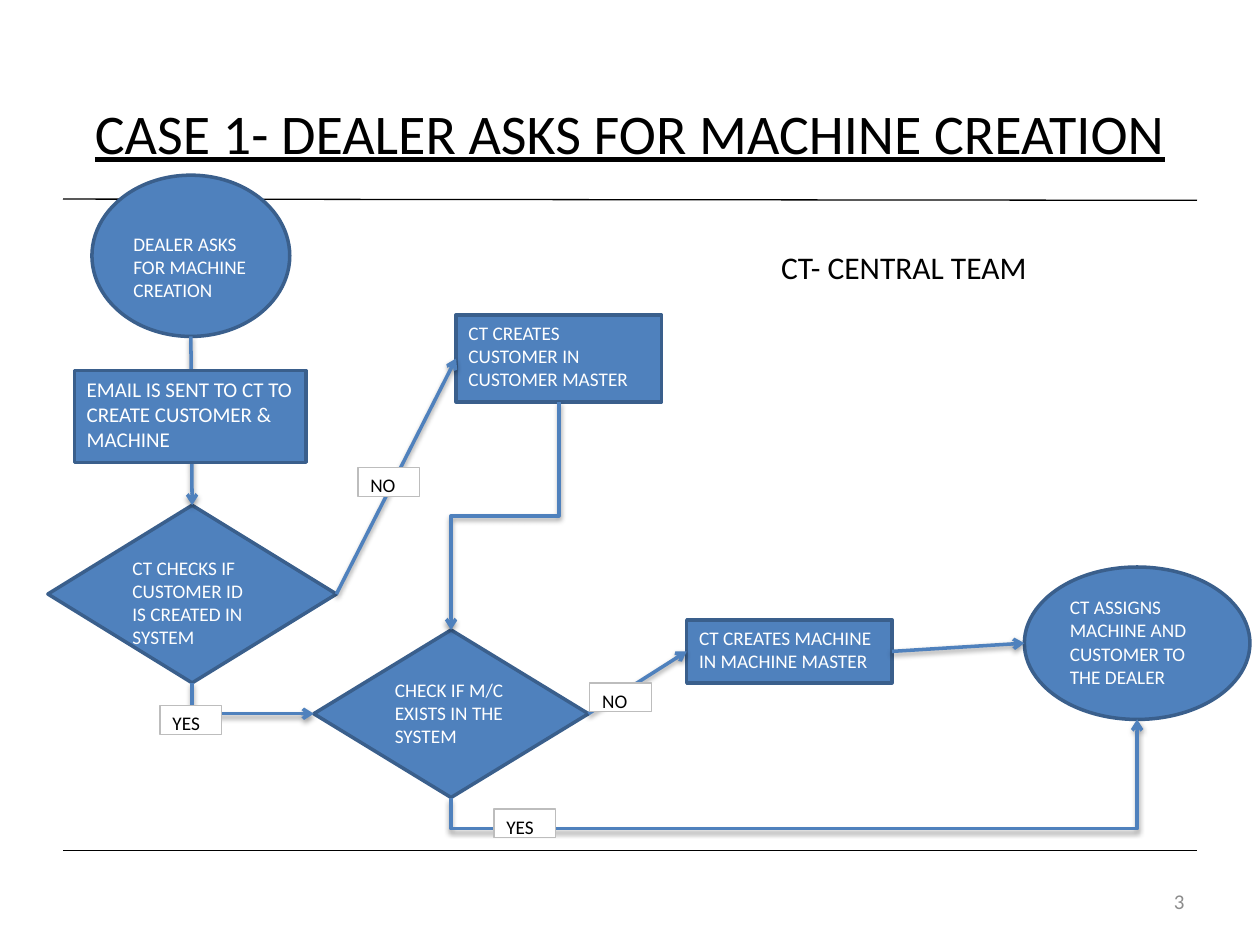
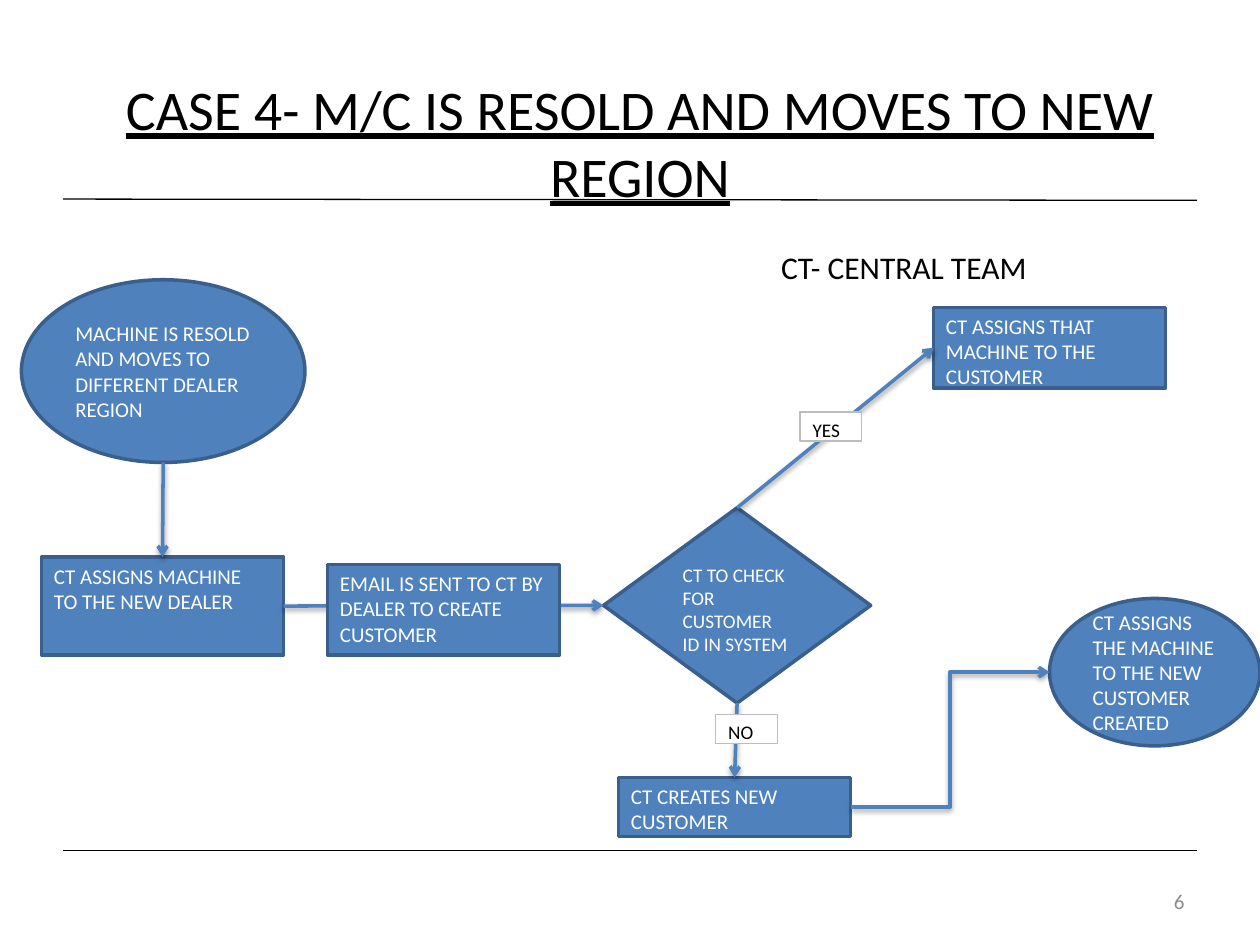
from dataclasses import dataclass
from enum import IntEnum
from typing import NamedTuple

from lxml.etree import SubElement as Sub
from pptx import Presentation
from pptx.dml.color import RGBColor as Rgb
from pptx.enum.shapes import MSO_CONNECTOR as Wire, MSO_SHAPE as Kind
from pptx.enum.text import MSO_ANCHOR as Anchor, PP_ALIGN as Align
from pptx.oxml.ns import qn
from pptx.util import Inches, Pt


@dataclass(frozen=True)
class Theme:
    """Colours, type sizes and line widths of the deck."""
    font: str = "Calibri"
    ink: str = "000000"
    paper: str = "FFFFFF"
    blue: str = "4F81BD"
    edge: str = "3A5F8C"
    frame: str = "BDBDBD"
    grey: str = "8C8C8C"
    head: int = 32
    note: int = 18
    body: int = 12
    small: int = 11
    bold: float = 2
    thin: float = 0.75


class Side(IntEnum):
    """Sides of a shape, numbered as connection sites."""
    TOP = 0
    LEFT = 1
    BASE = 2
    RIGHT = 3


class Box(NamedTuple):
    """Left, top, width and height in grid columns and rows."""
    x: float
    y: float
    w: float
    h: float


class Node(NamedTuple):
    """A step of the flow, with extra top and right insets in grid cells."""
    key: str
    kind: Kind
    box: Box
    text: str
    size: int
    mid: bool = False
    drop: float = 0
    trim: float = 0
    front: bool = False


class Link(NamedTuple):
    """An arrow between two steps; bend is the place of its middle leg."""
    start: str
    out: Side
    end: str
    into: Side
    form: str = "line"
    bend: float = 0.5


class Tag(NamedTuple):
    """An answer placed on an arrow."""
    text: str
    x: float
    y: float


class Case(NamedTuple):
    """One slide of the deck."""
    title: str
    spot: Box
    page: int
    nodes: list[Node]
    links: list[Link]
    tags: list[Tag]


LOOK = Theme()
COLS, ROWS = 100, 75
WIDE, HIGH = Inches(10), Inches(7.5)
OVAL, RECT, TEST = Kind.OVAL, Kind.RECTANGLE, Kind.FLOWCHART_DECISION
RULES = [(67.5, 67.5), (15.8, 15.9)]
TAG_W, TAG_H = 4.9, 2.3


def col(n: float) -> int:
    """Length of n grid columns."""
    return round(WIDE * n / COLS)


def row(n: float) -> int:
    """Length of n grid rows."""
    return round(HIGH * n / ROWS)


def place(box: Box) -> tuple[int, int, int, int]:
    """Turn grid units into slide lengths."""
    return col(box.x), row(box.y), col(box.w), row(box.h)


def write(shape, text: str, size: int, tint: str, align=Align.LEFT,
          anchor=Anchor.TOP, line: bool = False) -> None:
    """Fill a shape with one styled paragraph."""
    frame = shape.text_frame
    frame.word_wrap = True
    frame.vertical_anchor = anchor
    frame.text = text
    para = frame.paragraphs[0]
    para.alignment = align
    for run in para.runs:
        font = run.font
        font.name, font.size, font.underline = LOOK.font, Pt(size), line
        font.color.rgb = Rgb.from_string(tint)


def label(slide, box: Box, text: str, size: int, tint: str = LOOK.ink, **style) -> None:
    """Add a plain text box."""
    write(slide.shapes.add_textbox(*place(box)), text, size, tint, **style)


def block(slide, kind: Kind, box: Box, fill: str, edge: str, width: float):
    """Add a filled and outlined shape."""
    shape = slide.shapes.add_shape(kind, *place(box))
    shape.shadow.inherit = False
    shape.fill.solid()
    shape.fill.fore_color.rgb = Rgb.from_string(fill)
    shape.line.color.rgb = Rgb.from_string(edge)
    shape.line.width = Pt(width)
    return shape


def draw_node(slide, node: Node):
    """Draw one step of the flow."""
    shape = block(slide, node.kind, node.box, LOOK.blue, LOOK.edge, LOOK.bold)
    write(shape, node.text, node.size, LOOK.paper,
          anchor=Anchor.MIDDLE if node.mid else Anchor.TOP)
    frame = shape.text_frame
    frame.margin_top += row(node.drop)
    frame.margin_right += col(node.trim)
    return shape


def draw_tag(slide, tag: Tag) -> None:
    """Draw one answer."""
    box = Box(tag.x, tag.y, TAG_W, TAG_H)
    shape = block(slide, RECT, box, LOOK.paper, LOOK.frame, LOOK.thin)
    write(shape, tag.text, LOOK.small, LOOK.ink)


def stroke(wire, tint: str, width: float):
    """Style a connector and return its empty effect list."""
    wire.line.color.rgb = Rgb.from_string(tint)
    wire.line.width = Pt(width)
    return Sub(wire.element.spPr, qn("a:effectLst"))


def turn(wire) -> None:
    """Make an elbow leave its start along the vertical."""
    x, y, dx, dy = (wire.begin_x, wire.begin_y,
                    wire.end_x - wire.begin_x, wire.end_y - wire.begin_y)
    wire.width, wire.height = abs(dy), abs(dx)
    wire.left = x + (dx - abs(dy)) // 2
    wire.top = y + (dy - abs(dx)) // 2
    xfrm = wire.element.spPr.find(qn("a:xfrm"))
    xfrm.set("rot", "5400000")
    xfrm.set("flipH", str(int(dy < 0)))
    xfrm.set("flipV", str(int(dx > 0)))


def draw_link(slide, link: Link, made: dict) -> None:
    """Join two steps with an arrow."""
    form = Wire.STRAIGHT if link.form == "line" else Wire.ELBOW
    wire = slide.shapes.add_connector(form, 0, 0, 0, 0)
    first, last = made[link.start], made[link.end]
    wire.begin_connect(first, link.out)
    wire.end_connect(last, link.into)
    ends = wire.element.nvCxnSpPr.cNvCxnSpPr
    for shape, site in ((first, ends.stCxn), (last, ends.endCxn)):
        if shape.auto_shape_type == OVAL:
            site.idx *= 2
    if link.form != "line":
        if link.out in (Side.TOP, Side.BASE):
            turn(wire)
        geom = wire.element.spPr.find(qn("a:prstGeom"))
        if link.form == "corner":
            geom.set("prst", "bentConnector2")
        else:
            Sub(geom.find(qn("a:avLst")), qn("a:gd"), name="adj1",
                fmla=f"val {round(link.bend * 100000)}")
    glow = stroke(wire, LOOK.blue, LOOK.bold)
    Sub(wire.line._get_or_add_ln(), qn("a:tailEnd"), type="arrow")
    shade = Sub(glow, qn("a:outerShdw"), blurRad=str(Pt(3.1)), dist=str(Pt(1.6)),
                dir="5400000", rotWithShape="0")
    tint = Sub(shade, qn("a:srgbClr"), val=LOOK.ink)
    Sub(tint, qn("a:alpha"), val="38000")


def draw_case(deck, case: Case) -> None:
    """Build one slide."""
    slide = deck.slides.add_slide(deck.slide_layouts[6])
    for left, right in RULES:
        rule = slide.shapes.add_connector(
            Wire.STRAIGHT, col(5), row(left), col(95), row(right))
        stroke(rule, LOOK.ink, LOOK.thin)
    label(slide, case.spot, case.title, LOOK.head, align=Align.CENTER,
          anchor=Anchor.MIDDLE, line=True)
    label(slide, Box(61, 19.2, 23.2, 4), "CT- CENTRAL TEAM", LOOK.note)
    label(slide, Box(71.7, 69.5, 23.3, 4), str(case.page), LOOK.body, LOOK.grey,
          align=Align.RIGHT, anchor=Anchor.MIDDLE)
    made = {n.key: draw_node(slide, n) for n in case.nodes if not n.front}
    for link in case.links:
        draw_link(slide, link, made)
    for tag in case.tags:
        draw_tag(slide, tag)
    for node in case.nodes:
        if node.front:
            draw_node(slide, node)


CASES = [
    Case(
        "CASE 1- DEALER ASKS FOR MACHINE CREATION", Box(5, 4.2, 90, 12.5), 3,
        [
            Node("ask", OVAL, Box(7.3, 13.9, 15.7, 12.8),
                 "DEALER ASKS FOR MACHINE CREATION", LOOK.small, mid=True, drop=1.8),
            Node("mail", RECT, Box(5.9, 29.4, 18.4, 7.3),
                 "EMAIL IS SENT TO CT TO CREATE CUSTOMER & MACHINE", LOOK.body, front=True),
            Node("buyer", TEST, Box(3.8, 40.1, 22.9, 14.1),
                 "CT CHECKS IF CUSTOMER ID IS CREATED IN SYSTEM", LOOK.small),
            Node("check", TEST, Box(24.9, 50, 21.8, 13.3),
                 "CHECK IF M/C EXISTS IN THE SYSTEM", LOOK.small),
            Node("enter", RECT, Box(36.2, 25, 16.3, 6.9),
                 "CT CREATES CUSTOMER IN CUSTOMER MASTER", LOOK.small),
            Node("make", RECT, Box(54.5, 49.2, 16.3, 5),
                 "CT CREATES MACHINE IN MACHINE MASTER", LOOK.small),
            Node("give", OVAL, Box(81.3, 45, 17.9, 12.1),
                 "CT ASSIGNS MACHINE AND CUSTOMER TO THE DEALER", LOOK.small),
        ],
        [
            Link("ask", Side.BASE, "buyer", Side.TOP),
            Link("buyer", Side.RIGHT, "enter", Side.LEFT),
            Link("buyer", Side.BASE, "check", Side.LEFT, "corner"),
            Link("enter", Side.BASE, "check", Side.TOP, "step"),
            Link("check", Side.RIGHT, "make", Side.LEFT),
            Link("check", Side.BASE, "give", Side.BASE, "step", -0.4),
            Link("make", Side.RIGHT, "give", Side.LEFT),
        ],
        [Tag("NO", 46.8, 54.2), Tag("YES", 39.2, 64.2),
         Tag("NO", 28.4, 37.1), Tag("YES", 12.7, 56)],
    ),
    Case(
        "CASE 4- M/C IS RESOLD AND MOVES TO NEW REGION", Box(5.8, 5, 90, 12.5), 6,
        [
            Node("sold", OVAL, Box(1.7, 22.2, 22.5, 14.5),
                 "MACHINE IS RESOLD AND MOVES TO DIFFERENT DEALER REGION",
                 LOOK.body, mid=True),
            Node("move", RECT, Box(3.3, 44.2, 19.2, 7.8),
                 "CT ASSIGNS MACHINE TO THE NEW DEALER", LOOK.body, trim=1),
            Node("mail", RECT, Box(26, 44.8, 18.4, 7.2),
                 "EMAIL IS SENT TO CT BY DEALER TO CREATE CUSTOMER", LOOK.body, front=True),
            Node("check", TEST, Box(47.9, 40.3, 21.2, 15.5),
                 "CT TO CHECK FOR CUSTOMER ID IN SYSTEM", LOOK.small),
            Node("link", RECT, Box(74.1, 24.4, 18.4, 6.4),
                 "CT ASSIGNS THAT MACHINE TO THE CUSTOMER", LOOK.body),
            Node("make", RECT, Box(49.1, 61.7, 18.4, 4.7),
                 "CT CREATES NEW CUSTOMER", LOOK.body),
            Node("give", OVAL, Box(83.3, 47.5, 16.7, 11.7),
                 "CT ASSIGNS THE MACHINE TO THE NEW CUSTOMER CREATED",
                 LOOK.body, mid=True),
        ],
        [
            Link("sold", Side.BASE, "move", Side.TOP),
            Link("move", Side.RIGHT, "check", Side.LEFT),
            Link("check", Side.TOP, "link", Side.LEFT),
            Link("check", Side.BASE, "make", Side.TOP),
            Link("make", Side.RIGHT, "give", Side.LEFT, "step"),
        ],
        [Tag("NO", 56.8, 56.7), Tag("YES", 63.5, 32.7)],
    ),
]


def main() -> None:
    """Build the deck and save it."""
    deck = Presentation()
    deck.slide_width, deck.slide_height = WIDE, HIGH
    for case in CASES:
        draw_case(deck, case)
    deck.save("out.pptx")


if __name__ == "__main__":
    main()
